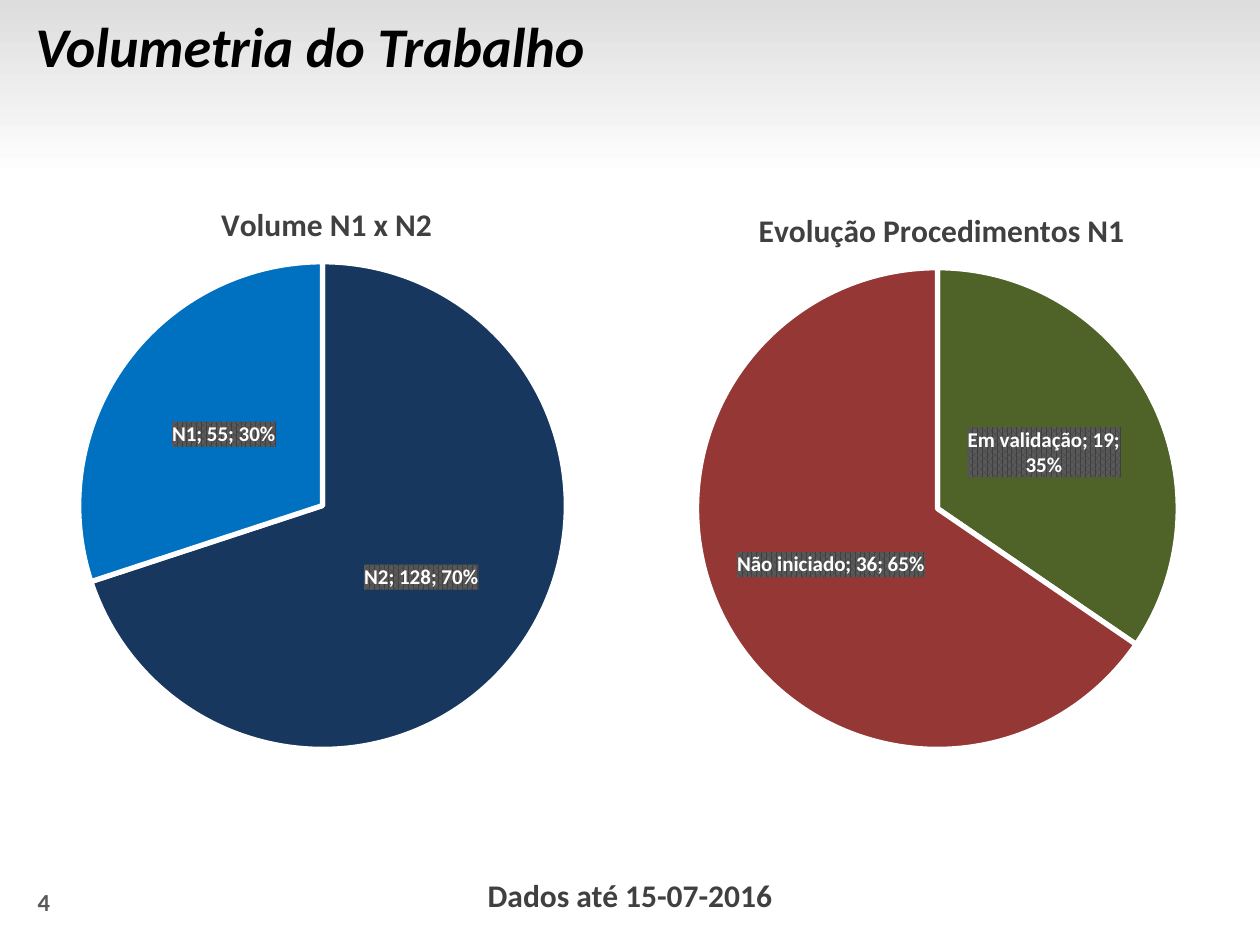
from collections import namedtuple
from dataclasses import dataclass

from lxml import etree
from pptx import Presentation
from pptx.chart.data import CategoryChartData
from pptx.dml.color import RGBColor
from pptx.enum.chart import XL_CHART_TYPE as ChartType, XL_LABEL_POSITION as LabelPos
from pptx.enum.shapes import MSO_SHAPE as Preset
from pptx.enum.text import MSO_ANCHOR as Anchor, PP_ALIGN as Align
from pptx.oxml import parse_xml
from pptx.oxml.ns import nsdecls, qn
from pptx.util import Pt

Box = namedtuple("Box", "left top width height")
Pie = namedtuple("Pie", "title categories values colors title_at plot_at")


@dataclass(frozen=True)
class Theme:
    font: str = "Calibri"
    ink: str = "000000"
    heading: str = "404040"
    muted: str = "595959"
    paper: str = "FFFFFF"
    band: str = "DDDDDD"
    title_size: int = 32
    heading_size: int = 18
    number_size: int = 14
    label_size: int = 12
    chart_size: int = 10
    slice_gap: int = 3


THEME = Theme()

PIES = [
    Pie("Volume N1 x N2", ["N2", "N1"], [128, 55], ["17375E", "0070C0"],
        (0.32, 0.04), (0.09, 0.15, 0.82, 0.82)),
    Pie("Evolução Procedimentos N1", ["Em validação", "Não iniciado"], [19, 36],
        ["4F6228", "953735"], (0.19, 0.05), (0.095, 0.16, 0.81, 0.81)),
]


def rgb(color):
    return RGBColor.from_string(color)


def style_font(font, size, color, bold=True, italic=False):
    font.name = THEME.font
    font.size = Pt(size)
    font.color.rgb = rgb(color)
    font.bold = bold
    font.italic = italic


def points(box):
    return [Pt(length) for length in box]


def add_header(slide, band_box, title_box):
    band = slide.shapes.add_shape(Preset.RECTANGLE, *points(band_box))
    band.shadow.inherit = False
    band.line.fill.background()
    band.fill.gradient()
    band.fill.gradient_angle = 270
    for stop, color in zip(band.fill.gradient_stops, (THEME.band, THEME.paper)):
        stop.color.rgb = rgb(color)

    title = slide.shapes.title
    title.element.addprevious(band.element)
    title.left, title.top, title.width, title.height = points(title_box)
    frame = title.text_frame
    frame.text = "Volumetria do Trabalho"
    frame.margin_left = Pt(21.6)
    frame.vertical_anchor = Anchor.MIDDLE
    heading = frame.paragraphs[0]
    heading.alignment = Align.LEFT
    style_font(heading.runs[0].font, THEME.title_size, THEME.ink, italic=True)


def manual_layout(parts, target=""):
    layout = parse_xml(f"<c:layout {nsdecls('c')}><c:manualLayout/></c:layout>")
    manual = layout[0]
    if target:
        etree.SubElement(manual, qn("c:layoutTarget")).set("val", target)
    for axis in "xy":
        etree.SubElement(manual, qn(f"c:{axis}Mode")).set("val", "edge")
    for side, share in zip("xywh", parts):
        etree.SubElement(manual, qn(f"c:{side}")).set("val", str(share))
    return layout


def place(element, layout, after=None):
    for old in element.findall(qn("c:layout")):
        element.remove(old)
    if after is None:
        element.insert(0, layout)
    else:
        after.addnext(layout)


def style_labels(plot):
    plot.has_data_labels = True
    labels = plot.data_labels
    style_font(labels.font, THEME.label_size, THEME.paper)
    labels.show_category_name = True
    labels.show_value = True
    labels.show_percentage = True
    labels.position = LabelPos.CENTER
    group = plot._element.find(qn("c:dLbls"))
    backing = parse_xml(
        f'<c:spPr {nsdecls("c", "a")}><a:pattFill prst="pct75">'
        f'<a:fgClr><a:srgbClr val="{THEME.heading}"/></a:fgClr>'
        f'<a:bgClr><a:srgbClr val="{THEME.muted}"/></a:bgClr>'
        "</a:pattFill></c:spPr>")
    group.find(qn("c:txPr")).addprevious(backing)
    separator = parse_xml(f"<c:separator {nsdecls('c')}>; </c:separator>")
    flags = [child for child in group if child.tag in
             (qn("c:showPercent"), qn("c:showBubbleSize"))]
    flags[-1].addnext(separator)


def add_pie(slide, box, pie):
    data = CategoryChartData()
    data.categories = pie.categories
    data.add_series("Series 1", pie.values)
    chart = slide.shapes.add_chart(ChartType.PIE, *points(box), data).chart
    style_font(chart.font, THEME.chart_size, THEME.ink, bold=False)
    chart.has_legend = False
    chart.has_title = True
    title = chart.chart_title
    title.text_frame.text = pie.title
    style_font(title.text_frame.paragraphs[0].runs[0].font,
               THEME.heading_size, THEME.heading)
    title.include_in_layout = False
    title_xml = title._element
    place(title_xml, manual_layout(pie.title_at), title_xml.find(qn("c:tx")))

    plot = chart.plots[0]
    plot.vary_by_categories = True
    place(plot._element.getparent(), manual_layout(pie.plot_at, "inner"))
    for index, color in enumerate(pie.colors):
        wedge = plot.series[0].points[index].format
        wedge.fill.solid()
        wedge.fill.fore_color.rgb = rgb(color)
        wedge.line.color.rgb = rgb(THEME.paper)
        wedge.line.width = Pt(THEME.slice_gap)
    style_labels(plot)


def add_note(slide, box, text, size, color, align=Align.LEFT, wrap=True):
    frame = slide.shapes.add_textbox(*points(box)).text_frame
    frame.word_wrap = wrap
    frame.text = text
    note = frame.paragraphs[0]
    note.alignment = align
    style_font(note.runs[0].font, size, color)


def main():
    deck = Presentation()
    deck.slide_width, deck.slide_height = Pt(720), Pt(540)
    slide = deck.slides.add_slide(deck.slide_layouts[5])
    add_header(slide, Box(0, 0, 720, 102.24), Box(-1.44, 0, 576, 51.12))

    margin, side = 14.4, 339.84
    for left, pie in zip((margin, 720 - margin - side), PIES):
        add_pie(slide, Box(left, 98.64, side, side), pie)

    add_note(slide, Box(margin, 503.28, 56.88, 24.48), "4",
             THEME.number_size, THEME.muted)
    add_note(slide, Box(270.72, 496.8, 178.56, 28.8), "Dados até 15-07-2016",
             THEME.heading_size, THEME.heading, Align.CENTER, wrap=False)
    deck.save("out.pptx")


if __name__ == "__main__":
    main()
